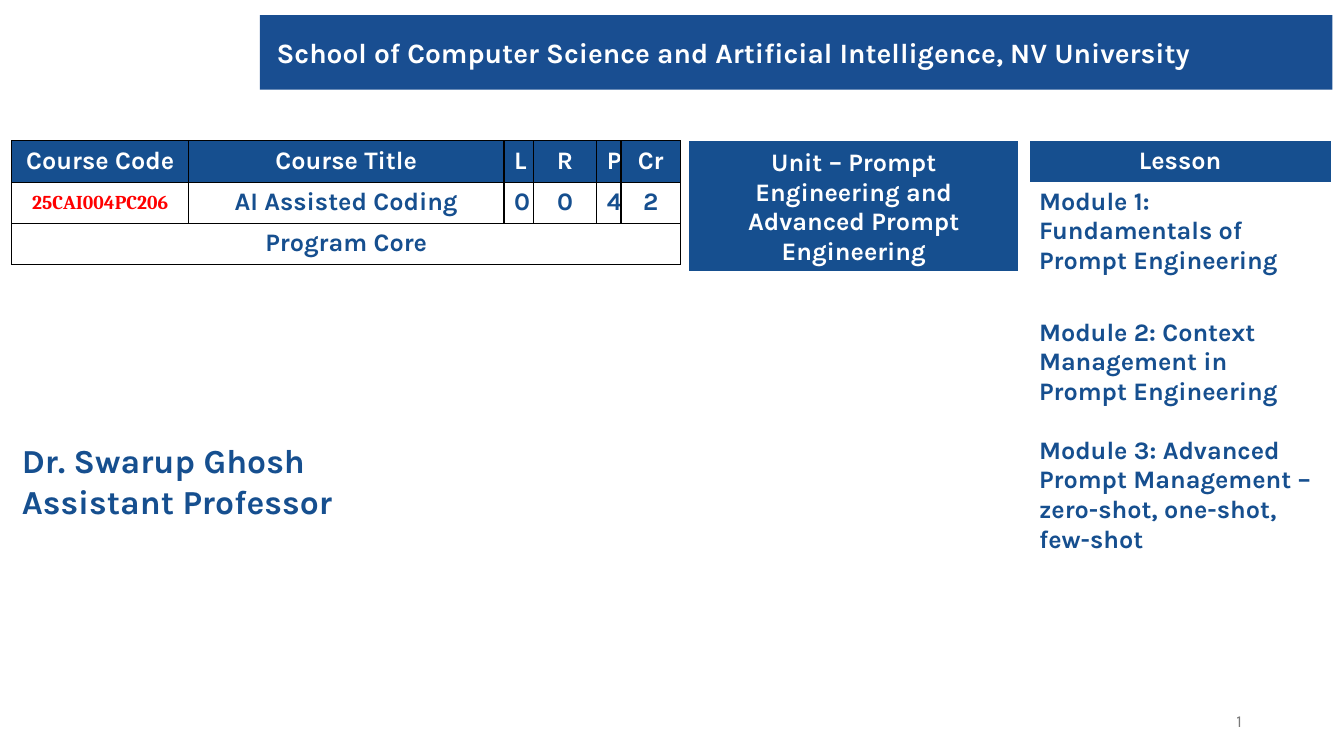
from lxml import etree
from pptx import Presentation
from pptx.dml.color import RGBColor
from pptx.enum.text import MSO_ANCHOR, MSO_AUTO_SIZE, PP_ALIGN
from pptx.oxml.ns import qn
from pptx.util import Cm, Pt

LEFT, CENTER, RIGHT = PP_ALIGN.LEFT, PP_ALIGN.CENTER, PP_ALIGN.RIGHT
MIDDLE, BOTTOM = MSO_ANCHOR.MIDDLE, MSO_ANCHOR.BOTTOM
TITLE_ONLY = 5

BAR_BLUE = RGBColor(0x19, 0x4E, 0x91)
BLUE = RGBColor(0x16, 0x4F, 0x8F)
WHITE = RGBColor(0xFF, 0xFF, 0xFF)
RED = RGBColor(0xFF, 0x00, 0x00)
GRAY = RGBColor(0x79, 0x79, 0x79)


def write(tf, text, size=18, color=BLUE, font="Karla", bold=True, align=LEFT, gap=0):
    """Fill a text frame, one paragraph per line, with gap points between them."""
    tf.word_wrap = True
    for i, line in enumerate(text.split("\n")):
        p = tf.paragraphs[0] if i == 0 else tf.add_paragraph()
        p.alignment = align
        p.space_before = Pt(gap if i else 0)
        r = p.add_run()
        r.text = line
        r.font.name, r.font.size, r.font.bold = font, Pt(size), bold
        r.font.color.rgb = color


def add_grid(left, top, widths, heights):
    """Add a plain table with the given column widths and row heights in cm."""
    table = s.shapes.add_table(len(heights), len(widths), Cm(left), Cm(top),
                               Cm(sum(widths)), Cm(sum(heights))).table
    table.horz_banding = False
    for column, width in zip(table.columns, widths):
        column.width = Cm(width)
    for row, height in zip(table.rows, heights):
        row.height = Cm(height)
    for cell in table.iter_cells():
        cell.fill.background()
    return table


prs = Presentation()
prs.slide_width, prs.slide_height = Cm(33.87), Cm(19.05)
s = prs.slides.add_slide(prs.slide_layouts[TITLE_ONLY])

# Title bar
title = s.shapes.title
title.left, title.top, title.width, title.height = Cm(6.55), Cm(0.38), Cm(27.03), Cm(1.88)
title.fill.solid()
title.fill.fore_color.rgb = BAR_BLUE
tf = title.text_frame
tf.auto_size = MSO_AUTO_SIZE.NONE
tf.vertical_anchor = MIDDLE
tf.margin_left = Cm(0.42)
write(tf, "School of Computer Science and Artificial Intelligence, NV University",
      size=20, color=WHITE)

# Lecturer and page number
lecturer = s.shapes.add_textbox(Cm(0.3), Cm(10.97), Cm(12.62), Cm(2.31))
write(lecturer.text_frame, "Dr. Swarup Ghosh\nAssistant Professor", size=24)
number = s.shapes.add_textbox(Cm(23.93), Cm(17.65), Cm(7.62), Cm(1.02))
number.text_frame.vertical_anchor = MIDDLE
write(number.text_frame, "1", size=12, color=GRAY, bold=False, align=RIGHT)

# Course table
course_rows = [
    ["Course Code", "Course Title", "L", "R", "P", "Cr"],
    ["25CAI004PC206", "AI Assisted Coding", "0", "0", "4", "2"],
    ["Program Core"],
]
course = add_grid(0.3, 3.55, [4.45, 7.95, 0.74, 1.6, 0.58, 1.5], [1.04] * 3)
course.cell(2, 0).merge(course.cell(2, 5))
for cell in course.iter_cells():
    tcPr = cell._tc.get_or_add_tcPr()
    for i, side in enumerate(("a:lnL", "a:lnR", "a:lnT", "a:lnB")):
        ln = etree.Element(qn(side), w=str(Pt(1)))
        fill = etree.SubElement(ln, qn("a:solidFill"))
        etree.SubElement(fill, qn("a:srgbClr"), val="000000")
        tcPr.insert(i, ln)
for y, texts in enumerate(course_rows):
    for x, text in enumerate(texts):
        cell = course.cell(y, x)
        cell.fill.solid()
        cell.fill.fore_color.rgb = WHITE if y else BLUE
        if (y, x) == (1, 0):
            cell.vertical_anchor = MIDDLE
            cell.margin_left = cell.margin_right = cell.margin_top = Cm(0.03)
            cell.margin_bottom = 0
            write(cell.text_frame, text, size=14, color=RED, font="Cambria", align=CENTER)
        else:
            write(cell.text_frame, text, color=BLUE if y else WHITE, align=CENTER)

# Unit and lesson tables
unit = add_grid(17.35, 3.55, [8.33], [3.3])
unit.cell(0, 0).vertical_anchor = BOTTOM
lesson = add_grid(25.93, 3.55, [7.62], [1.04, 3.3, 6.6, 3.05])
headings = [
    (unit, "Unit – Prompt Engineering and Advanced Prompt Engineering"),
    (lesson, "Lesson"),
]
for table, text in headings:
    cell = table.cell(0, 0)
    cell.fill.solid()
    cell.fill.fore_color.rgb = BLUE
    write(cell.text_frame, text, color=WHITE, align=CENTER)
write(lesson.cell(1, 0).text_frame, "Module 1: Fundamentals of Prompt Engineering")
write(lesson.cell(2, 0).text_frame,
      "Module 2: Context Management in Prompt Engineering\n"
      "Module 3: Advanced Prompt Management – zero-shot, one-shot, few-shot", gap=21)

prs.save("out.pptx")
